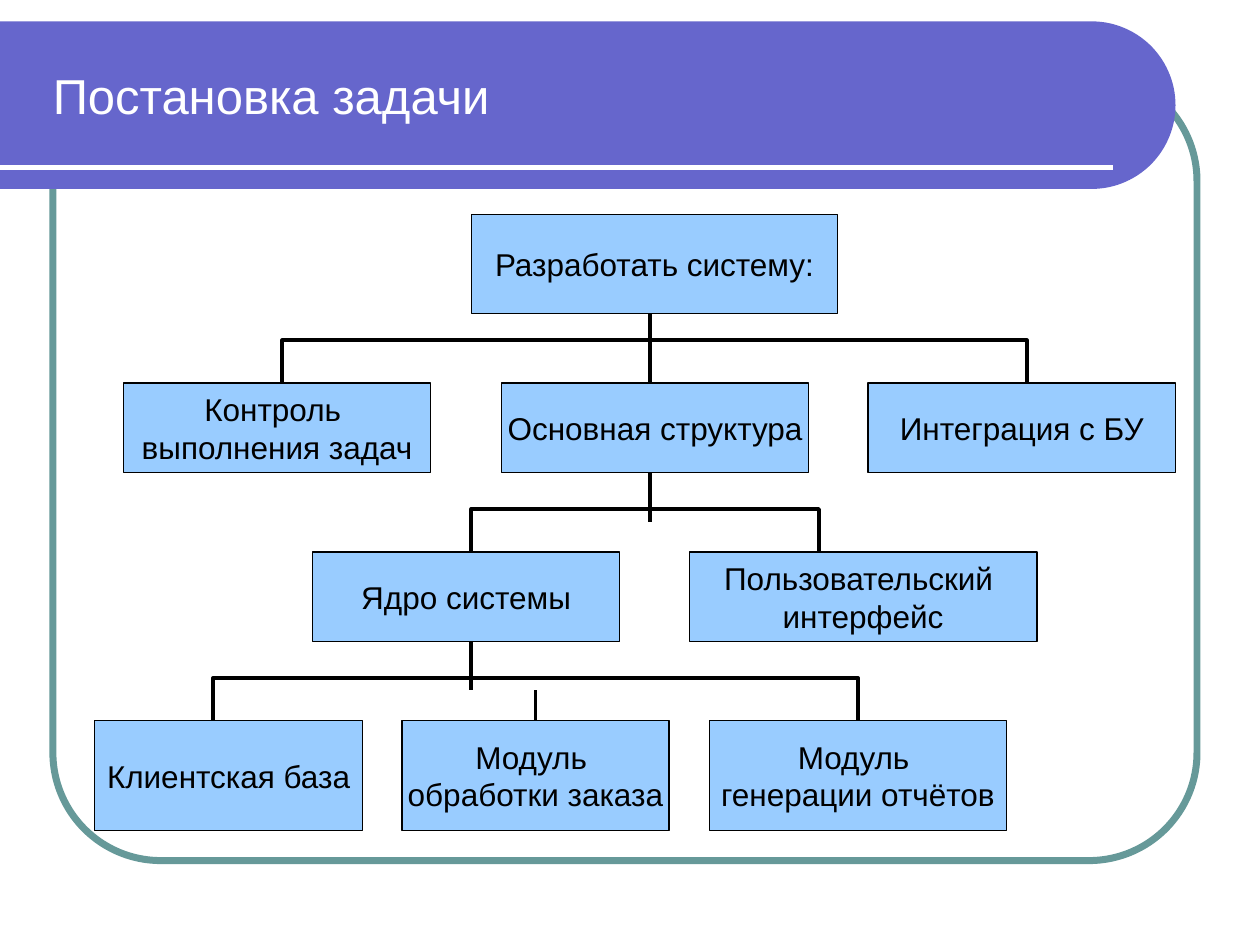
import math
from dataclasses import dataclass

import pptx
import pptx.dml.color
import pptx.enum.shapes
import pptx.enum.text
import pptx.oxml.ns
import pptx.util
from lxml import etree
from pptx.util import Inches

FONT = "Arial"
BLACK, WHITE = "000000", "FFFFFF"
BANNER, FRAME, BOX = "6666CC", "669999", "99CCFF"

Point = tuple[float, float]


@dataclass(frozen=True)
class Box:
    text: str
    left: float
    top: float
    width: float
    height: float = 0.71


@dataclass(frozen=True)
class Bracket:
    """A bar above two boxes with a drop to each of them."""
    left: float
    right: float
    bottom: float
    rise: float = 0.34


@dataclass(frozen=True)
class Stem:
    x: float
    top: float
    bottom: float


ROW_2, ROW_3, ROW_4 = 3.04, 4.38, 5.72

BOXES = [
    Box("Разработать систему:", 3.74, 1.7, 2.91, 0.79),
    Box("Контроль \nвыполнения задач", 0.98, ROW_2, 2.44),
    Box("Основная структура", 3.98, ROW_2, 2.44),
    Box("Интеграция с БУ", 6.89, ROW_2, 2.44),
    Box("Ядро системы", 2.48, ROW_3, 2.44),
    Box("Пользовательский \nинтерфейс", 5.47, ROW_3, 2.76),
    Box("Клиентская база", 0.75, ROW_4, 2.13, 0.87),
    Box("Модуль \nобработки заказа", 3.19, ROW_4, 2.12, 0.87),
    Box("Модуль \nгенерации отчётов", 5.63, ROW_4, 2.36, 0.87),
]
BRACKETS = [
    Bracket(2.24, 8.15, ROW_2),
    Bracket(3.74, 6.5, ROW_3),
    Bracket(1.69, 6.81, ROW_4),
]
STEMS = [
    Stem(5.16, 2.49, ROW_2),
    Stem(5.16, 3.75, 4.14),
    Stem(3.74, 5.09, 5.48),
    Stem(4.25, 5.48, ROW_4),
]


def color(value: str) -> pptx.dml.color.RGBColor:
    return pptx.dml.color.RGBColor.from_string(value)


def style_shape(shape, fill: str | None, line: str | None, width: float = 0) -> None:
    shape.shadow.inherit = False
    if fill:
        shape.fill.solid()
        shape.fill.fore_color.rgb = color(fill)
    else:
        shape.fill.background()
    if line:
        shape.line.color.rgb = color(line)
        shape.line.width = pptx.util.Pt(width)
    else:
        shape.line.fill.background()


def write_text(shape, text: str, size: float, text_color: str, alignment) -> None:
    text_frame = shape.text_frame
    text_frame.text = text
    text_frame.vertical_anchor = pptx.enum.text.MSO_ANCHOR.MIDDLE
    for paragraph in text_frame.paragraphs:
        paragraph.alignment = alignment
        for run in paragraph.runs:
            run.font.name = FONT
            run.font.size = pptx.util.Pt(size)
            run.font.color.rgb = color(text_color)


def draw_line(slide, start: Point, end: Point, line: str, width: float) -> None:
    connector = slide.shapes.add_connector(
        pptx.enum.shapes.MSO_CONNECTOR.STRAIGHT,
        *(Inches(value) for value in start + end))
    connector.line.color.rgb = color(line)
    connector.line.width = pptx.util.Pt(width)
    etree.SubElement(connector._element.spPr, pptx.oxml.ns.qn("a:effectLst"))


def draw_path(slide, points: list[Point], closed: bool):
    corners = [(Inches(x), Inches(y)) for x, y in points]
    builder = slide.shapes.build_freeform(*corners[0])
    builder.add_line_segments(corners[1:], close=closed)
    return builder.convert_to_shape()


def draw_frame(slide) -> None:
    frame = slide.shapes.add_shape(
        pptx.enum.shapes.MSO_SHAPE.ROUNDED_RECTANGLE,
        Inches(0.42), Inches(0.58), Inches(9.08), Inches(6.25))
    frame.adjustments[0] = 0.137
    style_shape(frame, None, FRAME, 4)


def draw_banner(slide) -> None:
    """Draw the band with a half-round right end and its underline."""
    top, bottom, right = 0.17, 1.5, 9.33
    radius = (bottom - top) / 2
    angles = [math.radians(degrees) for degrees in range(-90, 91, 3)]
    arc = [(right - radius + radius * math.cos(angle),
            top + radius + radius * math.sin(angle)) for angle in angles]
    banner = draw_path(slide, [(0, top), *arc, (0, bottom)], closed=True)
    style_shape(banner, BANNER, None)
    draw_line(slide, (0, 1.33), (8.83, 1.33), WHITE, 3)


def draw_title(slide, text: str) -> None:
    title = slide.shapes.add_textbox(
        Inches(0.21), Inches(0.25), Inches(8.77), Inches(1))
    title.text_frame.word_wrap = True
    title.text_frame.margin_left = Inches(0.21)
    write_text(title, text, 28, WHITE, pptx.enum.text.PP_ALIGN.LEFT)


def draw_box(slide, box: Box) -> None:
    shape = slide.shapes.add_shape(
        pptx.enum.shapes.MSO_SHAPE.RECTANGLE,
        Inches(box.left), Inches(box.top), Inches(box.width), Inches(box.height))
    style_shape(shape, BOX, BLACK, 0.75)
    shape.text_frame.word_wrap = False
    write_text(shape, box.text, 18, BLACK, pptx.enum.text.PP_ALIGN.CENTER)


def draw_bracket(slide, bracket: Bracket) -> None:
    top = bracket.bottom - bracket.rise
    points = [(bracket.left, bracket.bottom), (bracket.left, top),
              (bracket.right, top), (bracket.right, bracket.bottom)]
    style_shape(draw_path(slide, points, closed=False), None, BLACK, 2)


def main() -> None:
    presentation = pptx.Presentation()
    presentation.slide_width = Inches(10)
    presentation.slide_height = Inches(7.5)
    slide = presentation.slides.add_slide(presentation.slide_layouts[6])

    draw_frame(slide)
    draw_banner(slide)
    draw_title(slide, "Постановка задачи")
    for box in BOXES:
        draw_box(slide, box)
    for bracket in BRACKETS:
        draw_bracket(slide, bracket)
    for stem in STEMS:
        draw_line(slide, (stem.x, stem.top), (stem.x, stem.bottom), BLACK, 2)

    presentation.save("out.pptx")


if __name__ == "__main__":
    main()
